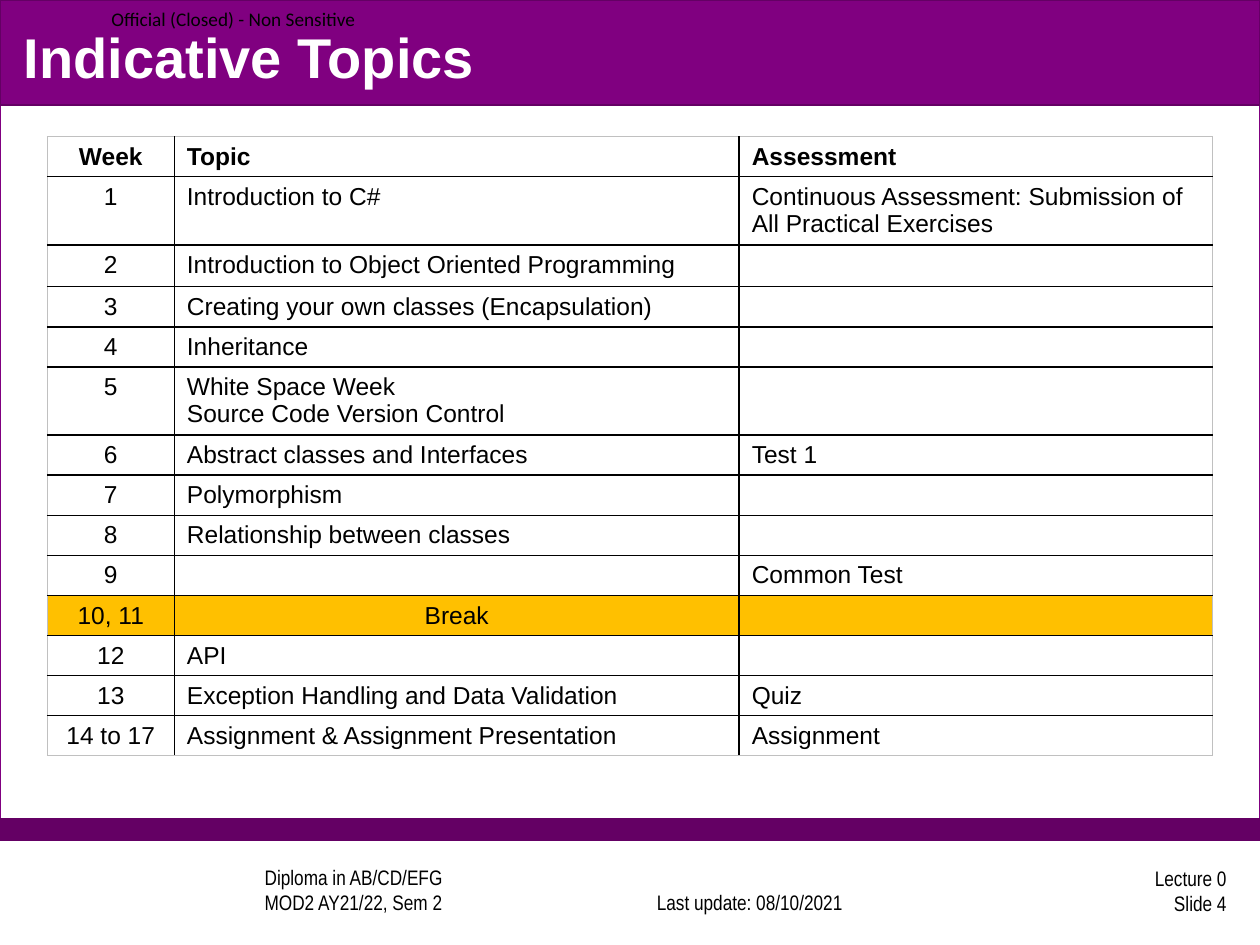
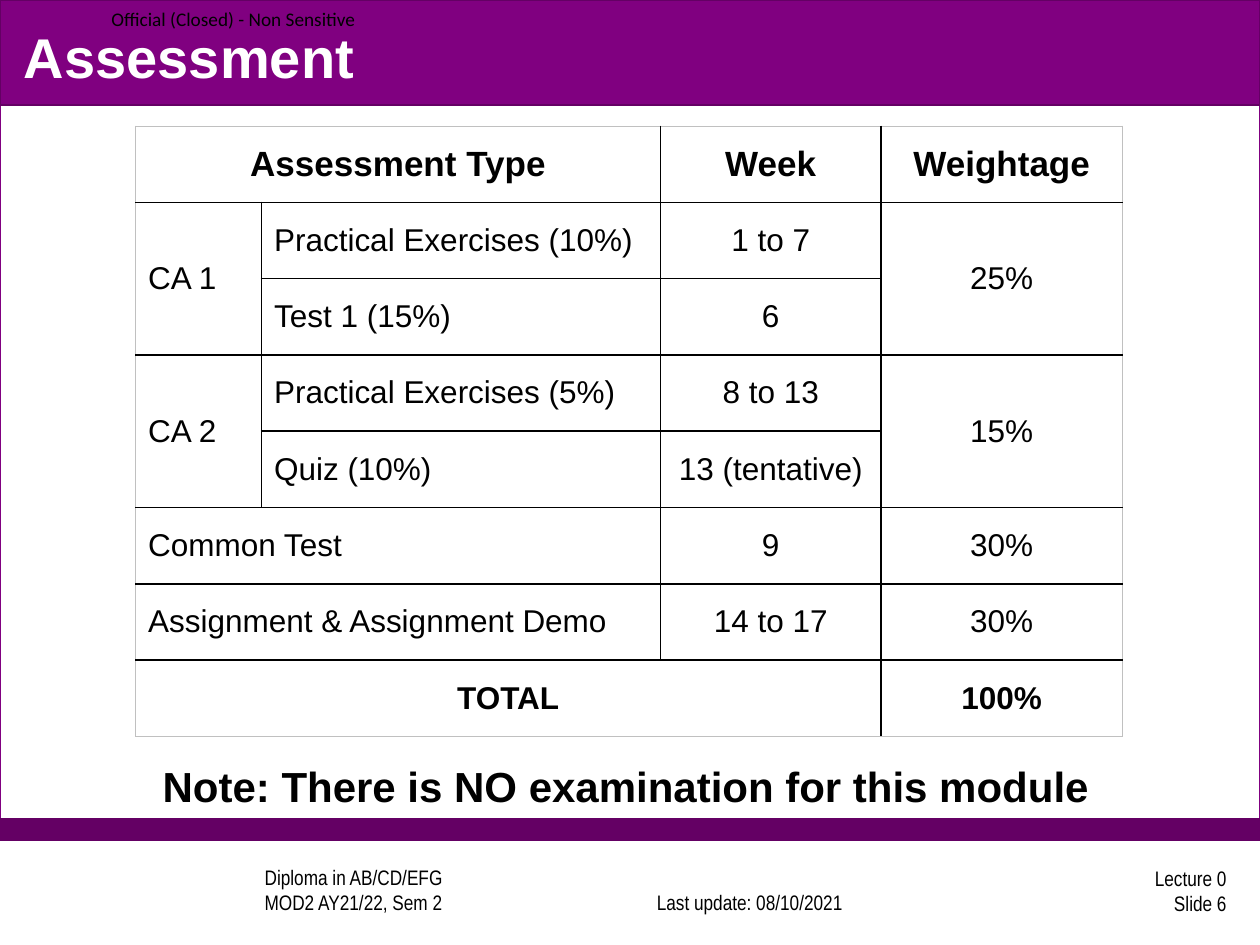
from dataclasses import dataclass
from typing import Optional

from lxml import etree
from pptx import Presentation
from pptx import util as u
from pptx.dml.color import RGBColor
from pptx.enum import shapes, text
from pptx.oxml.ns import qn

BLACK = RGBColor(0x00, 0x00, 0x00)
WHITE = RGBColor(0xFF, 0xFF, 0xFF)
PURPLE = RGBColor(0x80, 0x00, 0x80)
DARK_PURPLE = RGBColor(0x64, 0x00, 0x64)
AMBER = RGBColor(0xFF, 0xC0, 0x00)
GREY = RGBColor(0xC0, 0xC0, 0xC0)

LEFT, CENTER, RIGHT = text.PP_ALIGN.LEFT, text.PP_ALIGN.CENTER, text.PP_ALIGN.RIGHT
TOP, MIDDLE, BOTTOM = text.MSO_ANCHOR.TOP, text.MSO_ANCHOR.MIDDLE, text.MSO_ANCHOR.BOTTOM

# The slide is a grid of 120 columns by 90 rows of square units
deck = Presentation()
deck.slide_width, deck.slide_height = u.Inches(10), u.Inches(7.5)
UNIT = deck.slide_width / 120


def grid(units: float) -> int:
    return round(units * UNIT)


@dataclass(frozen=True)
class Area:
    column: float
    row: float
    columns: float
    rows: float

    def lengths(self) -> tuple[int, ...]:
        return tuple(map(grid, (self.column, self.row, self.columns, self.rows)))


@dataclass(frozen=True)
class Style:
    size: float
    font: str = "Arial"
    color: RGBColor = BLACK
    bold: bool = False
    align: text.PP_ALIGN = LEFT


@dataclass(frozen=True)
class Band:
    area: Area
    fill: RGBColor
    line: RGBColor
    opacity: int = 100


@dataclass(frozen=True)
class Label:
    words: str
    area: Area
    style: Style
    anchor: text.MSO_ANCHOR = MIDDLE
    indent: float = 1.2


@dataclass(frozen=True)
class Cell:
    words: str
    style: Style
    fill: Optional[RGBColor] = None
    down: int = 1
    across: int = 1


BANDS = [
    Band(Area(0, 0, 120, 80), WHITE, PURPLE, opacity=90),
    Band(Area(0, 78, 120, 2), DARK_PURPLE, DARK_PURPLE),
    Band(Area(0, 0, 120, 10), PURPLE, DARK_PURPLE),
]
TITLE = Style(32, color=WHITE, bold=True)
FOOTER = "Arial Narrow"


def write(frame, words: str, style: Style) -> None:
    frame.text = words
    for para in frame.paragraphs:
        para.alignment = style.align
        para.font.size = u.Pt(style.size)
        para.font.name = style.font
        para.font.bold = style.bold
        para.font.color.rgb = style.color


def draw_band(page, band: Band) -> None:
    box = page.shapes.add_shape(shapes.MSO_SHAPE.RECTANGLE, *band.area.lengths())
    box.shadow.inherit = False
    box.fill.solid()
    box.fill.fore_color.rgb = band.fill
    box.line.color.rgb = band.line
    box.line.width = u.Pt(0.75)
    if band.opacity < 100:
        color = box.fill._xPr.find(".//" + qn("a:srgbClr"))
        etree.SubElement(color, qn("a:alpha"), val=str(band.opacity * 1000))


def draw_label(page, label: Label) -> None:
    frame = page.shapes.add_textbox(*label.area.lengths()).text_frame
    frame.word_wrap = True
    frame.vertical_anchor = label.anchor
    frame.margin_left = grid(label.indent)
    write(frame, label.words, label.style)


def set_borders(cell, edges: dict[str, bool]) -> None:
    """Edges map a border tag to whether it lies on the table's outside."""
    properties = cell._tc.get_or_add_tcPr()
    for place, (tag, outside) in enumerate(edges.items()):
        width = u.Pt(0.5 if outside else 1)
        line = etree.Element(qn(f"a:{tag}"), w=str(width))
        fill = etree.SubElement(line, qn("a:solidFill"))
        etree.SubElement(fill, qn("a:srgbClr"), val=str(GREY if outside else BLACK))
        properties.insert(place, line)


def draw_table(page, column: float, row: float, widths: list[float], heights: list[float],
               cells: dict[tuple[int, int], Cell], blank: Style, anchor: text.MSO_ANCHOR,
               bottom_margin: float = 0.6) -> None:
    area = Area(column, row, sum(widths), sum(heights))
    table = page.shapes.add_table(len(heights), len(widths), *area.lengths()).table
    table.first_row = table.horz_banding = False
    for target, width in zip(table.columns, widths):
        target.width = grid(width)
    for target, height in zip(table.rows, heights):
        target.height = grid(height)

    last_row, last_column = len(heights) - 1, len(widths) - 1
    for r in range(len(heights)):
        for c in range(len(widths)):
            box = table.cell(r, c)
            entry = cells.get((r, c), Cell("", blank))
            box.vertical_anchor = anchor
            box.margin_bottom = grid(bottom_margin)
            write(box.text_frame, entry.words, entry.style)
            if not entry.words:
                para = box.text_frame.paragraphs[0]
                etree.SubElement(para._p, qn("a:endParaRPr"), sz=str(entry.style.size * 100))
            if entry.fill is None:
                box.fill.background()
            else:
                box.fill.solid()
                box.fill.fore_color.rgb = entry.fill
            set_borders(box, {"lnL": c == 0, "lnR": c + entry.across > last_column,
                              "lnT": r == 0, "lnB": r + entry.down > last_row})
    for (r, c), entry in cells.items():
        if entry.down * entry.across > 1:
            table.cell(r, c).merge(table.cell(r + entry.down - 1, c + entry.across - 1))


def add_page(title: str, number: int):
    page = deck.slides.add_slide(deck.slide_layouts[6])
    for band in BANDS:
        draw_band(page, band)
    labels = [
        Label("Diploma in AB/CD/EFG\vMOD2 AY21/22, Sem 2", Area(18, 82.7, 38, 5),
              Style(12, FOOTER), BOTTOM, indent=7.2),
        Label("Last update: 08/10/2021", Area(58.9, 82.7, 25, 5),
              Style(12, FOOTER, align=CENTER), BOTTOM),
        Label(f"Lecture 0\vSlide {number}", Area(93, 82.3, 25, 5),
              Style(12, FOOTER, align=RIGHT)),
        Label("Official (Closed) - Non Sensitive", Area(0, 0, 36, 3.5),
              Style(11, "Calibri"), indent=10.6),
        Label(title, Area(1.1, 1.6, 118, 7.5), TITLE),
    ]
    for label in labels:
        draw_label(page, label)
    return page


# Weekly topics
TOPICS = [
    ("Week", "Topic", "Assessment"),
    ("1", "Introduction to C#", "Continuous Assessment: Submission of All Practical Exercises"),
    ("2", "Introduction to Object Oriented Programming", ""),
    ("3", "Creating your own classes (Encapsulation)", ""),
    ("4", "Inheritance", ""),
    ("5", "White Space Week\nSource Code Version Control", ""),
    ("6", "Abstract classes and Interfaces", "Test 1"),
    ("7", "Polymorphism", ""),
    ("8", "Relationship between classes", ""),
    ("9", "", "Common Test"),
    ("10, 11", "Break", ""),
    ("12", "API", ""),
    ("13", "Exception Handling and Data Validation", "Quiz"),
    ("14 to 17", "Assignment & Assignment Presentation", "Assignment"),
]
topic_cells = {}
for r, entries in enumerate(TOPICS):
    is_break = entries[1] == "Break"
    for c, words in enumerate(entries):
        centered = c == 0 or is_break
        style = Style(14, bold=r == 0, align=CENTER if centered else LEFT)
        topic_cells[r, c] = Cell(words, style, AMBER if is_break else None)
tall_rows = {1: 6.45, 2: 3.98, 5: 6.45}
topic_heights = [tall_rows.get(r, 3.82) for r in range(len(TOPICS))]

page = add_page("Indicative Topics", 4)
draw_table(page, 4.5, 13, [12.1, 53.8, 45.1], topic_heights, topic_cells, Style(14), TOP,
           bottom_margin=0.3)

# Assessment weights
head = Style(20, bold=True, align=CENTER)
body = Style(18)
middle = Style(18, align=CENTER)
total = Style(18, bold=True, align=CENTER)
weight_cells = {
    (0, 0): Cell("Assessment Type", head, across=2),
    (0, 2): Cell("Week", head),
    (0, 3): Cell("Weightage", head),
    (1, 0): Cell("CA 1", body, down=2),
    (1, 3): Cell("25%", middle, down=2),
    (3, 0): Cell("CA 2", body, down=2),
    (3, 3): Cell("15%", middle, down=2),
    (5, 0): Cell("Common Test", body, across=2),
    (5, 3): Cell("30%", middle),
    (6, 0): Cell("Assignment & Assignment Demo", body, across=2),
    (6, 3): Cell("30%", middle),
    (7, 0): Cell("TOTAL", total, across=3),
    (7, 3): Cell("100%", total),
}
tasks = ["Practical Exercises (10%)", "Test 1 (15%)", "Practical Exercises (5%)", "Quiz (10%)"]
weeks = ["1 to 7", "6", "8 to 13", "13 (tentative)", "9", "14 to 17"]
weight_cells |= {(r, 1): Cell(task, body) for r, task in enumerate(tasks, 1)}
weight_cells |= {(r, 2): Cell(week, middle) for r, week in enumerate(weeks, 1)}

page = add_page("Assessment", 6)
draw_table(page, 12.9, 12, [12, 38, 21, 23], [7.27] * 8, weight_cells, body, MIDDLE)
draw_label(page, Label("Note: There is NO examination for this module",
                       Area(14.3, 71.8, 92, 6), Style(24, bold=True), TOP))

deck.save("out.pptx")
